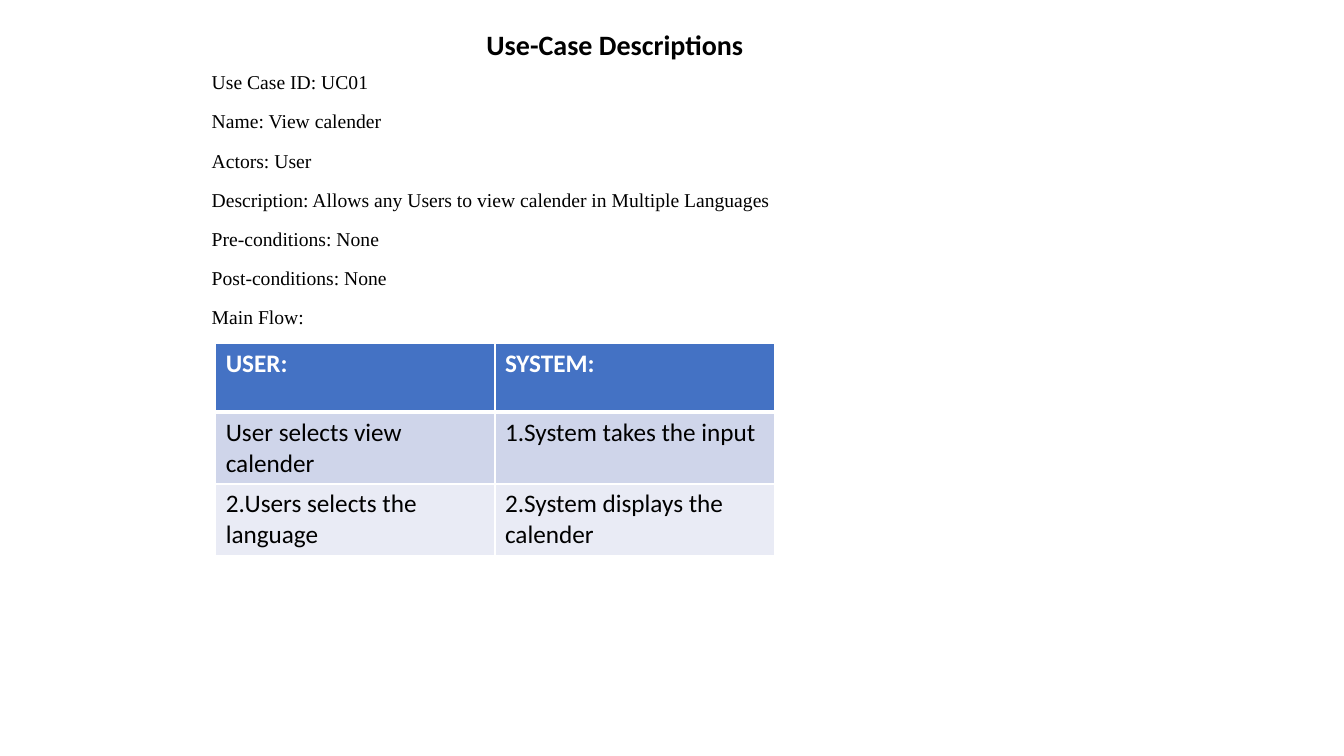
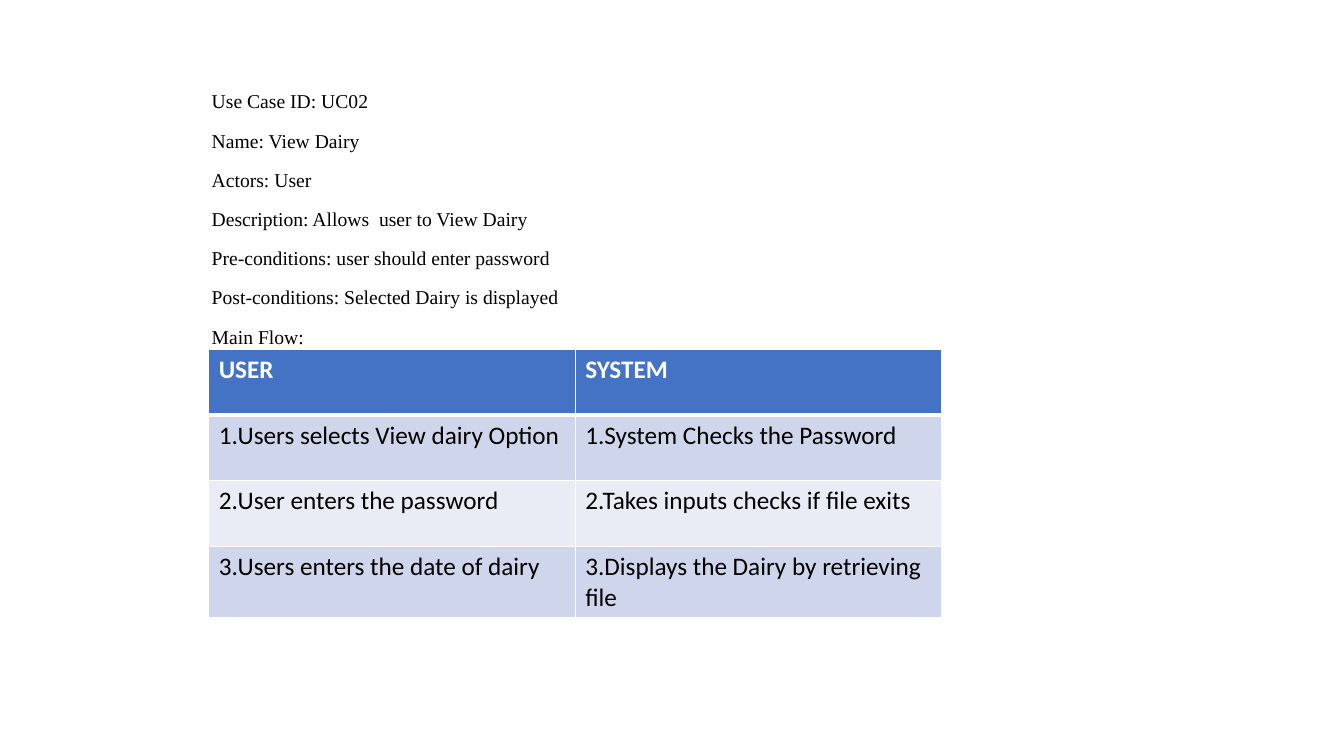
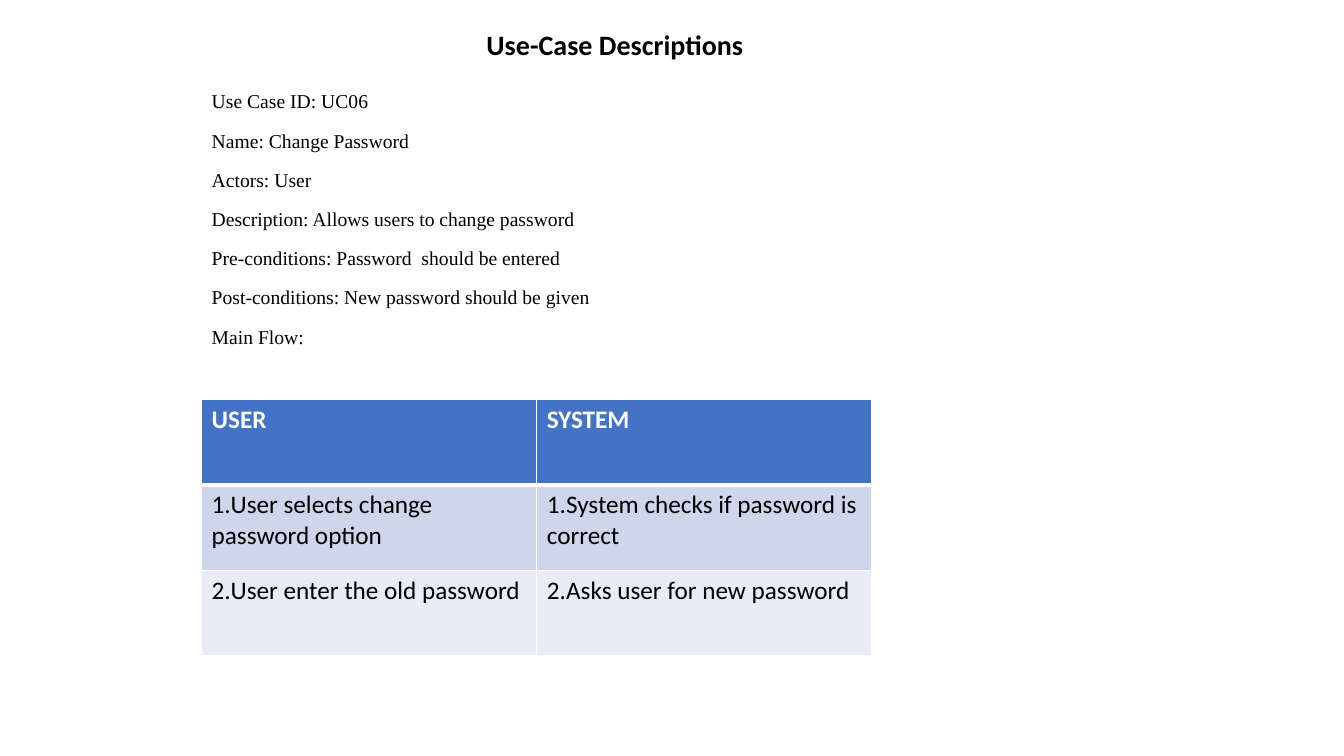
from pptx import Presentation
from pptx.dml.color import RGBColor
from pptx.enum.text import MSO_ANCHOR, MSO_AUTO_SIZE, PP_ALIGN
from pptx.oxml.ns import qn
from pptx.util import Inches, Pt
from lxml.etree import SubElement

# Shared look
COLORS = {"text": "000000", "white": "FFFFFF", "header": "4472C4",
          "band_dark": "CFD5EA", "band_light": "E9EBF5"}
TITLE_FONT = {"name": "Calibri", "size": Pt(20), "bold": True}
BODY_FONT = {"name": "Times New Roman", "size": Pt(14), "bold": False}
HEADER_FONT = {"name": "Calibri", "size": Pt(18), "bold": True}
CELL_FONT = {**HEADER_FONT, "bold": False}
PLAIN_FRAME = {"word_wrap": True, "auto_size": MSO_AUTO_SIZE.NONE,
               "vertical_anchor": MSO_ANCHOR.TOP}
PLAIN_PARAGRAPH = {"space_before": Pt(0), "space_after": Pt(0)}
TITLE_PARAGRAPH = {**PLAIN_PARAGRAPH, "alignment": PP_ALIGN.CENTER}
BODY_PARAGRAPH = {**PLAIN_PARAGRAPH, "alignment": PP_ALIGN.LEFT,
                  "line_spacing": Pt(28)}

WIDTH, HEIGHT = Inches(13.33), Inches(7.5)
TITLE = "Use-Case Descriptions"
FIELDS = ["Use Case ID", "Name", "Actors", "Description",
          "Pre-conditions", "Post-conditions", "Main Flow"]

# Boxes are left, top, width, height in percent of the slide;
# a table's last number is the height of one row.
TITLE_BOX = (15, 2.93, 61.5, 5.87)
USE_CASES = [
    {"title": TITLE, "body_box": (15, 6.53, 60.9, 38),
     "values": ["UC01", "View calender", "User",
                "Allows any Users to view calender in Multiple Languages",
                "None", "None", ""],
     "table_box": (16.05, 45.47, 41.55, 9.07),
     "flow": [("USER:", "SYSTEM:"),
              ("User selects view calender", "1.System takes the input"),
              ("2.Users selects the language",
               "2.System displays the calender")]},
    {"title": None, "body_box": (15, 9.07, 60.9, 38),
     "values": ["UC02", "View Dairy", "User", "Allows  user to View Dairy",
                "user should enter password", "Selected Dairy is displayed", ""],
     "table_box": (15.53, 46.27, 54.54, 8.67),
     "flow": [("USER", "SYSTEM"),
              ("1.Users selects View dairy Option",
               "1.System Checks the Password"),
              ("2.User enters the password",
               "2.Takes inputs checks if file exits"),
              ("3.Users enters the date of dairy",
               "3.Displays the Dairy by retrieving file")]},
    {"title": TITLE, "body_box": (15, 9.07, 60.9, 38),
     "values": ["UC06", "Change Password", "User",
                "Allows users to change password",
                "Password  should be entered",
                "New password should be given", ""],
     "table_box": (15, 52.8, 49.88, 11.33),
     "flow": [("USER", "SYSTEM"),
              ("1.User selects change password option",
               "1.System checks if password is correct"),
              ("2.User enter the old password",
               "2.Asks user for new password")]},
]


def to_emu(box):
    """Turn percent of the slide into lengths."""
    return [int(size * share / 100)
            for size, share in zip((WIDTH, HEIGHT) * 2, box)]


def apply(target, values):
    for name, value in values.items():
        setattr(target, name, value)


def write(p, text, font, color="text"):
    r = p.add_run()
    r.text = text
    apply(r.font, font)
    r.font.color.rgb = RGBColor.from_string(COLORS[color])


def fill_placeholder(sp, box, lines, font, paragraph):
    apply(sp, dict(zip(("left", "top", "width", "height"), to_emu(box))))
    tf = sp.text_frame
    apply(tf, PLAIN_FRAME)
    for i, line in enumerate(lines):
        p = tf.add_paragraph() if i else tf.paragraphs[0]
        apply(p, paragraph)
        # No bullet and no hanging indent
        pPr = p._p.get_or_add_pPr()
        pPr.set("marL", "0")
        pPr.set("indent", "0")
        SubElement(pPr, qn("a:buNone"))
        write(p, line, font)


def add_borders(cell, top, bottom):
    tcPr = cell._tc.get_or_add_tcPr()
    for side, points in {"L": 1, "R": 1, "T": top, "B": bottom}.items():
        ln = SubElement(tcPr, qn(f"a:ln{side}"), w=str(Pt(points)))
        fill = SubElement(ln, qn("a:solidFill"))
        SubElement(fill, qn("a:srgbClr"), val=COLORS["white"])


def add_flow_table(s, box, rows):
    left, top, width, row_height = to_emu(box)
    table = s.shapes.add_table(len(rows), len(rows[0]), left, top, width,
                               row_height * len(rows)).table
    table.horz_banding = False
    for i, row in enumerate(rows):
        band = "header" if i == 0 else "band_dark" if i % 2 else "band_light"
        font, color = (CELL_FONT, "text") if i else (HEADER_FONT, "white")
        for j, text in enumerate(row):
            cell = table.cell(i, j)
            # A thick rule parts the header from the steps
            add_borders(cell, top=3 if i == 1 else 1, bottom=1 if i else 3)
            cell.fill.solid()
            cell.fill.fore_color.rgb = RGBColor.from_string(COLORS[band])
            write(cell.text_frame.paragraphs[0], text, font, color)


def add_use_case(prs, case):
    s = prs.slides.add_slide(prs.slide_layouts[1])
    title, body = s.shapes.title, s.placeholders[1]
    if case["title"]:
        fill_placeholder(title, TITLE_BOX, [case["title"]],
                         TITLE_FONT, TITLE_PARAGRAPH)
    else:
        title.element.getparent().remove(title.element)
    lines = [f"{field}: {value}".strip()
             for field, value in zip(FIELDS, case["values"])]
    fill_placeholder(body, case["body_box"], lines, BODY_FONT, BODY_PARAGRAPH)
    add_flow_table(s, case["table_box"], case["flow"])


def main():
    prs = Presentation()
    prs.slide_width, prs.slide_height = WIDTH, HEIGHT
    for case in USE_CASES:
        add_use_case(prs, case)
    prs.save("out.pptx")


if __name__ == "__main__":
    main()
